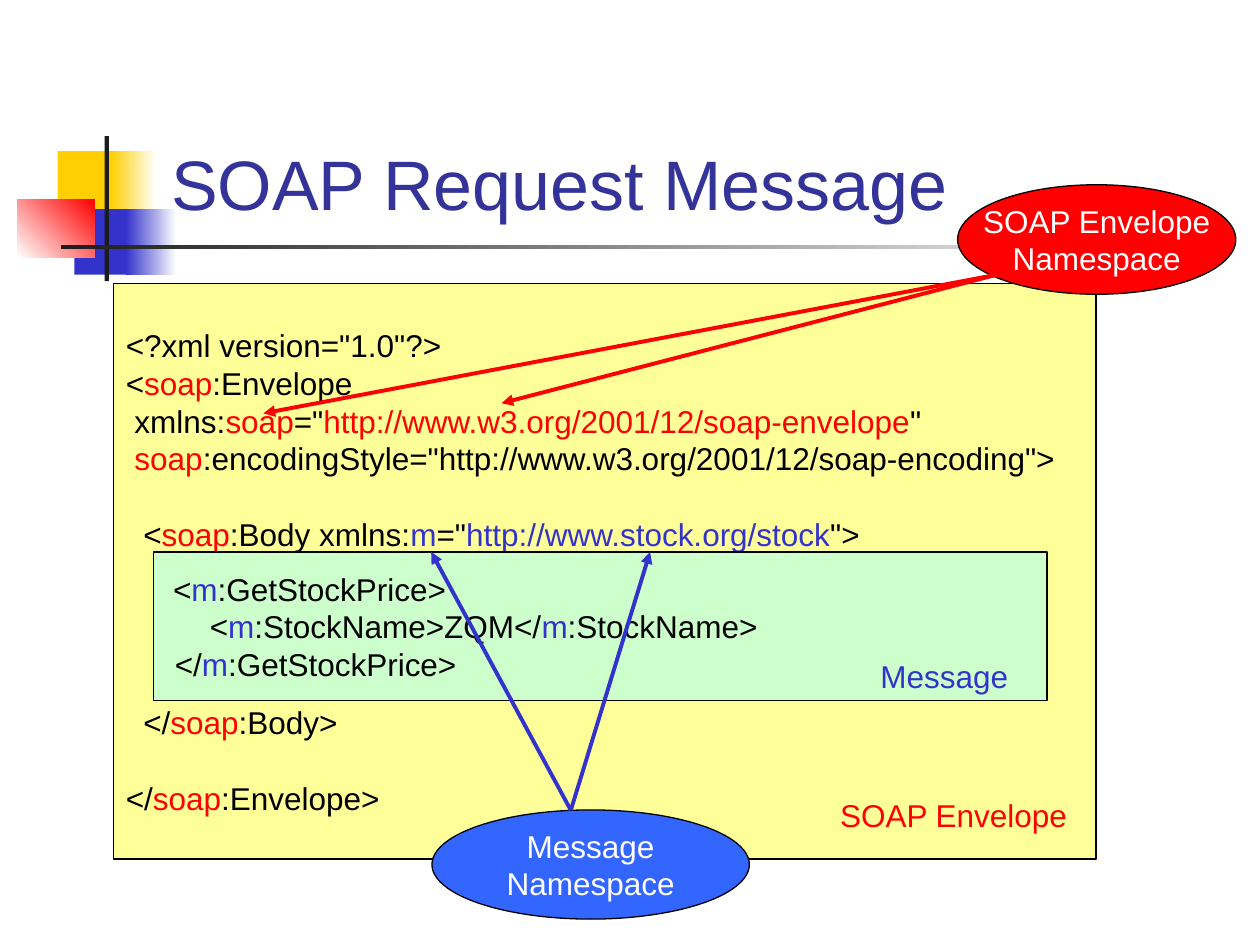
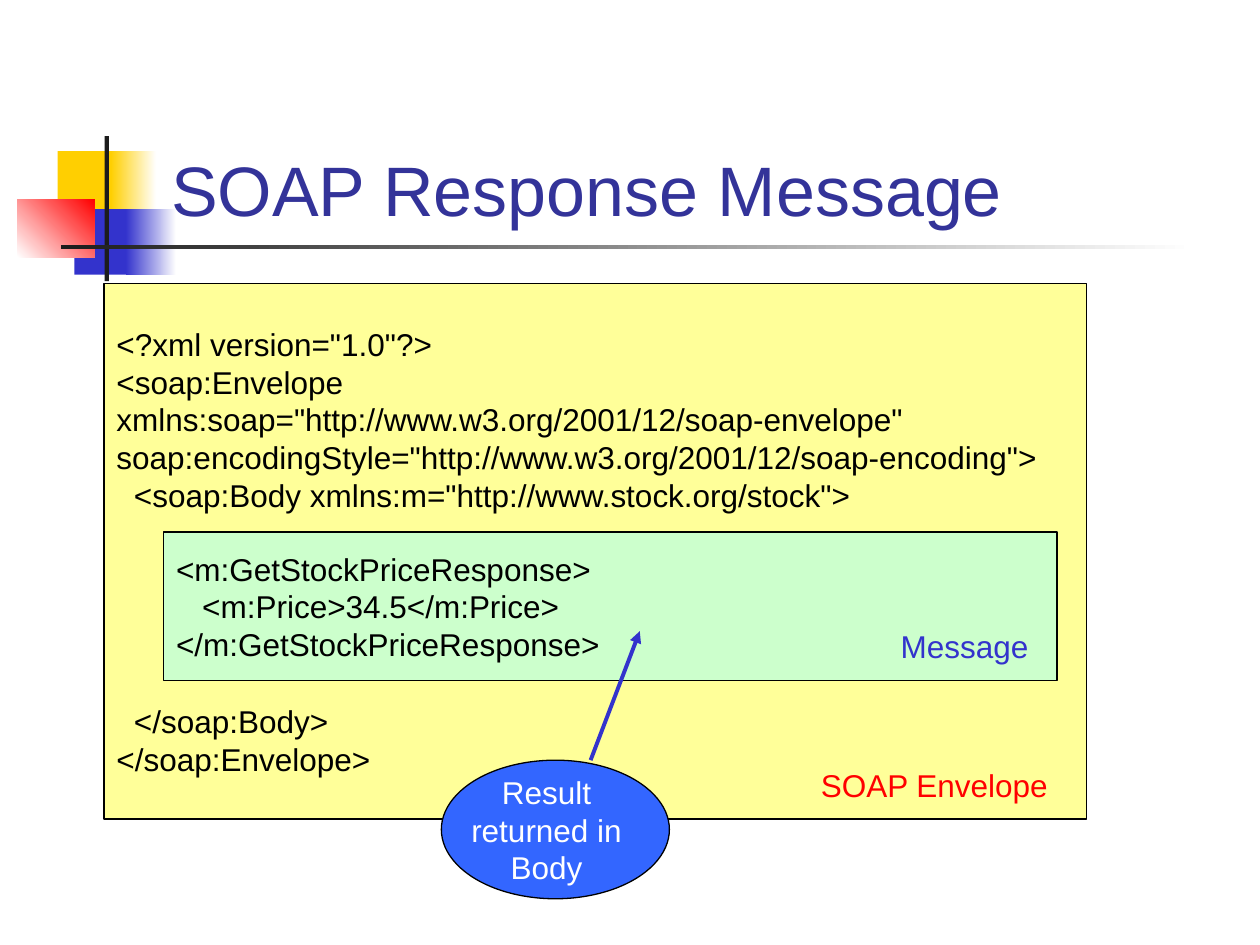
from lxml import etree
from pptx import Presentation
from pptx.dml.color import RGBColor
from pptx.enum.shapes import MSO_CONNECTOR as Line, MSO_SHAPE as Shape
from pptx.enum.text import MSO_ANCHOR as Anchor, PP_ALIGN as Align
from pptx.oxml.ns import qn
from pptx.util import Pt

# Shared style
COLORS = {
    "white": "FFFFFF", "black": "000000", "ink": "1C1C1C", "title": "333399",
    "gold": "FFCF01", "blue": "3333CC", "red": "FF0000",
    "envelope": "FFFF99", "message": "CCFFCC", "callout": "3366FF",
}
FONT = "Arial"
CODE_SIZE = 18
LINE_PITCH = 21.55
SPACE = 5  # width of one space in the code text

# Title decoration: box, start colour, end colour (None = solid), angle
DECORATION = [
    ((33, 86.4, 34.6, 37.4), "gold", None, 0),
    ((63.4, 86.4, 25.9, 37.4), "gold", "white", 0),
    ((42.5, 119.5, 33.1, 37.4), "blue", None, 0),
    ((72, 119.5, 28.8, 37.4), "blue", "white", 0),
    ((10, 113.8, 44, 33.1), "white", "red", 45),
    ((59.8, 77.8, 2.5, 82.8), "ink", None, 0),
    ((34.6, 140, 648, 2.6), "ink", "white", 0),
]

# Content. A line is (text, indent in spaces, empty lines above);
# *text* is red and ~text~ is blue.
SLIDES = [
    {
        "title": "SOAP Request Message", "title_top": 16.6,
        "envelope": ((64.8, 162, 561.6, 329), [
            ('<?xml version="1.0"?>', 0, 0),
            ("<*soap*:Envelope", 0, 0),
            ('xmlns:*soap*="*http://www.w3.org/2001/12/soap-envelope*"', 1, 0),
            ('*soap*:encodingStyle="http://www.w3.org/2001/12/soap-encoding">', 1, 0),
            ('<*soap*:Body xmlns:~m~="~http://www.stock.org/stock~">', 2, 1),
            ("</*soap*:Body>", 2, 4),
            ("</*soap*:Envelope>", 0, 1),
        ]),
        "message": ((87.8, 315.4, 510.5, 85), [
            ("<~m~:GetStockPrice>", 0.8, 0),
            ("<~m~:StockName>ZQM</~m~:StockName>", 5, 0),
            ("</~m~:GetStockPrice>", 1, 0),
        ]),
        "labels": [("*SOAP Envelope*", (473, 451.4, 175.7, 28.8)),
                   ("~Message~", (496, 372.2, 130.3, 28.8))],
        "callouts": [
            {"lines": ["SOAP Envelope", "Namespace"], "fill": "red", "arrow": "red",
             "box": (547.2, 105.6, 159, 62.6), "start": (569.5, 157),
             "ends": [(150.5, 236.2), (286.6, 230.4)]},
            {"lines": ["Message", "Namespace"], "fill": "callout", "arrow": "blue",
             "box": (246.8, 462.8, 181.4, 62.4), "start": (326.2, 463),
             "ends": [(246.4, 315.4), (371.5, 315.4)]},
        ],
    },
    {
        "title": "SOAP Response Message", "title_top": 20.2,
        "envelope": ((59.5, 162, 561.6, 306), [
            ('<?xml version="1.0"?>', 0, 0),
            ("<soap:Envelope", 0, 0),
            ('xmlns:soap="http://www.w3.org/2001/12/soap-envelope"', 0, 0),
            ('soap:encodingStyle="http://www.w3.org/2001/12/soap-encoding">', 0, 0),
            ('<soap:Body xmlns:m="http://www.stock.org/stock">', 2, 0),
            ("</soap:Body>", 2, 5),
            ("</soap:Envelope>", 0, 0),
        ]),
        "message": ((93.5, 304, 510.5, 85), [
            ("<m:GetStockPriceResponse>", 0, 0),
            ("<m:Price>34.5</m:Price>", 3, 0),
            ("</m:GetStockPriceResponse>", 0, 0),
        ]),
        "labels": [("*SOAP Envelope*", (462, 434.2, 175.7, 28.8)),
                   ("~Message~", (507.6, 355, 130.3, 28.8))],
        "callouts": [
            {"lines": ["Result", "returned in", "Body"], "fill": "callout",
             "arrow": "blue", "box": (252.2, 434.4, 130.3, 79.2),
             "start": (337.5, 434.4), "ends": [(365.6, 360.7)], "nudge": 2},
        ],
    },
]


def rgb(name):
    return RGBColor.from_string(COLORS[name])


def points(values):
    return [Pt(value) for value in values]


def split_colors(text, base):
    """Yield each marked or plain part of the text with its colour."""
    for i, outer in enumerate(text.split("*")):
        for j, part in enumerate(outer.split("~")):
            if part:
                yield part, "red" if i % 2 else "blue" if j % 2 else base


def write(shape, lines, color="black", size=CODE_SIZE, align=Align.LEFT,
          anchor=Anchor.MIDDLE, wrap=True, pitch=LINE_PITCH, nudge=0):
    """Write (text, indent, empty lines above) rows; nudge insets row one's right."""
    frame = shape.text_frame
    frame.word_wrap = wrap
    frame.vertical_anchor = anchor
    for index, (text, indent, gap) in enumerate(lines):
        para = frame.add_paragraph() if index else frame.paragraphs[0]
        para.alignment = align
        if pitch:
            para.line_spacing = Pt(pitch)
            para.space_before = Pt(gap * pitch)
        margins = para._p.get_or_add_pPr()
        margins.set("marL", str(Pt(indent * SPACE)))
        if nudge and not index:
            margins.set("marR", str(Pt(nudge * SPACE)))
        for part, part_color in split_colors(text, color):
            span = para.add_run()
            span.text = part
            span.font.name = FONT
            span.font.size = Pt(size)
            span.font.color.rgb = rgb(part_color)


def add_block(page, kind, box, fill, fade=None, angle=0, outline=None):
    shape = page.shapes.add_shape(kind, *points(box))
    shape.shadow.inherit = False
    if fade:
        shape.fill.gradient()
        shape.fill.gradient_angle = angle
        for stop, name in zip(shape.fill.gradient_stops, (fill, fade)):
            stop.color.rgb = rgb(name)
    else:
        shape.fill.solid()
        shape.fill.fore_color.rgb = rgb(fill)
    if outline:
        shape.line.color.rgb = rgb(outline)
        shape.line.width = Pt(0.75)
    else:
        shape.line.fill.background()
    return shape


def add_arrow(page, start, end, color):
    arrow = page.shapes.add_connector(Line.STRAIGHT, *points(start + end))
    arrow.line.color.rgb = rgb(color)
    arrow.line.width = Pt(2.25)
    etree.SubElement(arrow.line._get_or_add_ln(), qn("a:tailEnd"), type="triangle")
    etree.SubElement(arrow._element.spPr, qn("a:effectLst"))


def add_callout(page, callout):
    oval = add_block(page, Shape.OVAL, callout["box"], callout["fill"], outline="black")
    write(oval, [(text, 0, 0) for text in callout["lines"]], color="white",
          align=Align.CENTER, wrap=False, nudge=callout.get("nudge", 0))
    for end in callout["ends"]:
        add_arrow(page, callout["start"], end, callout["arrow"])


def build_slide(deck, content):
    page = deck.slides.add_slide(deck.slide_layouts[6])

    # Decoration and title
    for box, fill, fade, angle in DECORATION:
        add_block(page, Shape.RECTANGLE, box, fill, fade, angle)
    title = page.shapes.add_textbox(*points((90.7, content["title_top"], 613.4, 115.2)))
    write(title, [(content["title"], 0, 0)], color="title", size=40,
          anchor=Anchor.BOTTOM, pitch=None)

    # Code panels and their labels
    for panel in ("envelope", "message"):
        box, lines = content[panel]
        write(add_block(page, Shape.RECTANGLE, box, panel, outline="black"), lines)
    for text, box in content["labels"]:
        write(page.shapes.add_textbox(*points(box)), [(text, 0, 0)], anchor=Anchor.TOP)

    # Callouts with arrows
    for callout in content["callouts"]:
        add_callout(page, callout)


def main():
    deck = Presentation()
    deck.slide_width, deck.slide_height = Pt(720), Pt(540)
    for content in SLIDES:
        build_slide(deck, content)
    deck.save("out.pptx")


if __name__ == "__main__":
    main()
